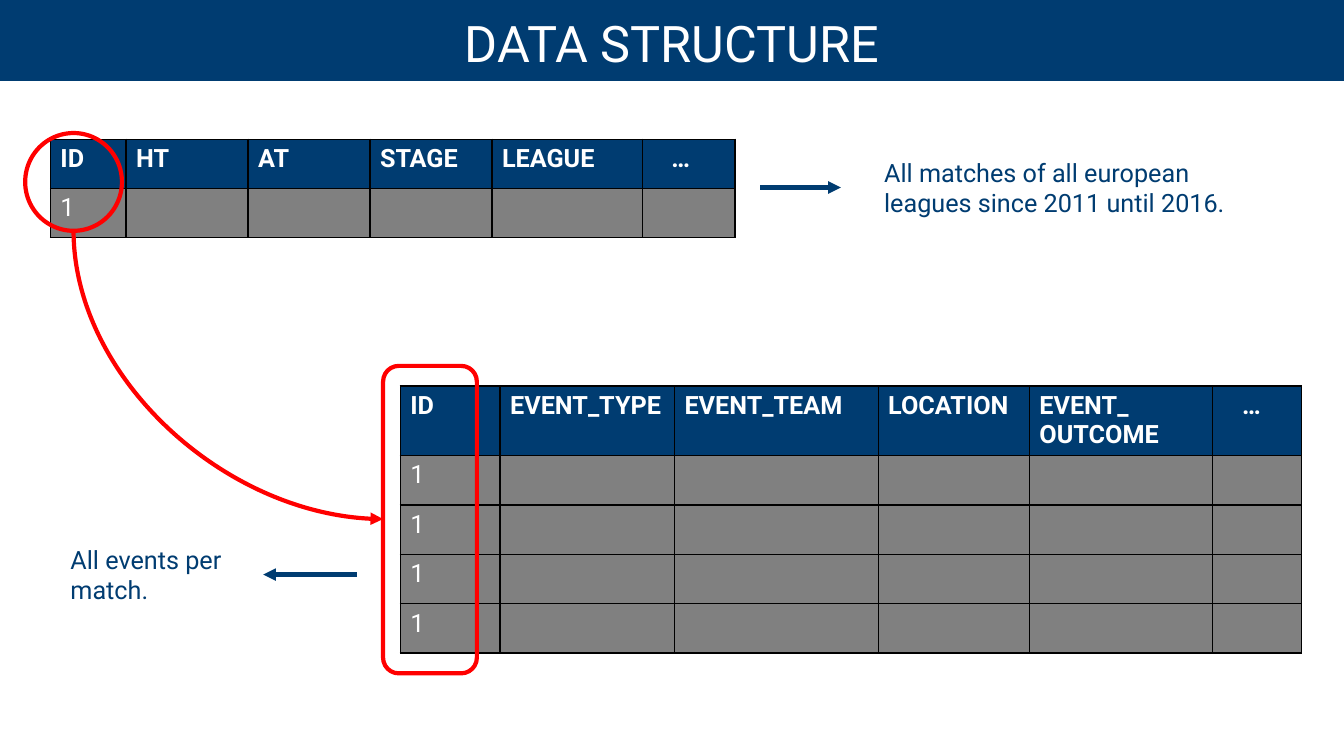
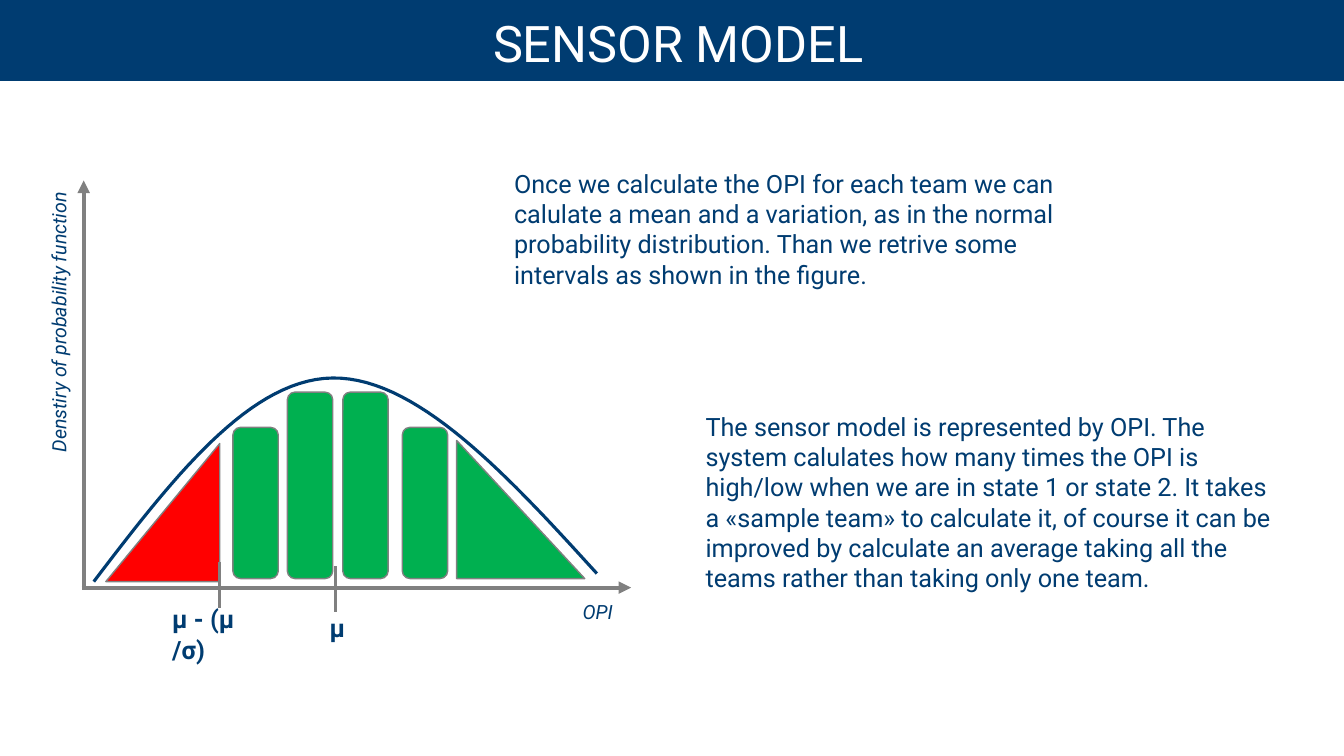
"""Build two slides: the match data structure and the sensor model."""
from pptx import Presentation
from pptx.dml.color import RGBColor
from pptx.enum.shapes import MSO_CONNECTOR, MSO_SHAPE
from pptx.enum.text import MSO_ANCHOR, MSO_AUTO_SIZE, PP_ALIGN
from pptx.oxml import parse_xml
from pptx.oxml.ns import nsdecls, qn
from pptx.util import Inches, Pt

RECTANGLE, ROUNDED = MSO_SHAPE.RECTANGLE, MSO_SHAPE.ROUNDED_RECTANGLE
OVAL, TRIANGLE = MSO_SHAPE.OVAL, MSO_SHAPE.ISOSCELES_TRIANGLE
STRAIGHT, CURVE = MSO_CONNECTOR.STRAIGHT, MSO_CONNECTOR.CURVE
MIDDLE, CENTER = MSO_ANCHOR.MIDDLE, PP_ALIGN.CENTER
NO_AUTOFIT = MSO_AUTO_SIZE.NONE

NAVY = RGBColor(0x00, 0x3C, 0x71)
GRAY = RGBColor(0x80, 0x80, 0x80)
RED = RGBColor(0xFF, 0x00, 0x00)
GREEN = RGBColor(0x00, 0xB0, 0x50)
WHITE = RGBColor(0xFF, 0xFF, 0xFF)
FONT = "Roboto"

ROW_HEIGHT = 0.49
MATCHES = {
    "at": (0.5, 1.38),
    "columns": [("ID", 0.75), ("HT", 1.21), ("AT", 1.21), ("STAGE", 1.21),
                ("LEAGUE", 1.49), ("…", 0.92)],
    "header_height": ROW_HEIGHT,
    "ids": ["1"],
}
EVENTS = {
    "at": (3.97, 3.83),
    "columns": [("ID", 0.99), ("EVENT_TYPE", 1.73), ("EVENT_TEAM", 2.02),
                ("LOCATION", 1.5), ("EVENT_\nOUTCOME", 1.82), ("…", 0.88)],
    "header_height": 0.69,
    "ids": ["1", "1", "1", "1"],
}
DATA_NOTES = [
    ("All matches of all european leagues since 2011 until 2016.", (8.67, 1.51, 3.72, 0.71)),
    ("All events per\nmatch.", (0.6, 5.35, 1.92, 0.71)),
]
DATA_ARROWS = [((7.54, 1.86), (8.34, 1.86)), ((3.54, 5.7), (2.61, 5.7))]

SENSOR_NOTES = [
    ("The sensor model is represented by OPI. The system calulates how many times the OPI is "
     "high/low when we are in state 1 or state 2. It takes a «sample team» to calculate it, of "
     "course it can be improved by calculate an average taking all the teams rather than taking "
     "only one team.", (6.9, 4.03, 5.83, 1.92)),
    ("Once we calculate the OPI for each team we can calulate a mean and a variation, as in the "
     "normal probability distribution. Than we retrive some intervals as shown in the figure.",
     (5, 1.62, 5.83, 1.31)),
]
BELL_CURVE = [
    ((0.93, 5.77), (1.7, 4.76), (2.47, 3.76), (3.3, 3.75)),
    ((3.3, 3.75), (4.13, 3.74), (5.03, 4.71), (5.92, 5.69)),
]
CURVE_STEPS = 30
AXES = [((0.83, 5.83), (0.83, 1.79)), ((0.81, 5.83), (6.26, 5.83))]
TAILS = [((1.05, 4.4, 1.13, 1.37), 1, RED), ((4.53, 4.37, 1.27, 1.37), 0, GREEN)]
BAR_WIDTH, BAR_BASE = 0.45, 5.74
BARS = [(2.31, 4.24), (2.85, 3.89), (3.4, 3.89), (3.99, 4.24)]
TICK_LENGTH = 0.45
TICKS = [
    ("µ", (3.33, 5.62), (3.17, 6.03, 0.33, 0.41)),
    ("µ - (µ /σ)", (2.18, 5.58), (1.61, 5.94, 1.15, 0.4)),
]
AXIS_LABELS = [
    ("OPI", (5.68, 5.9, 0.55, 0.34), 0),
    ("Denstiry of probability function", (-1.46, 2.37, 4.09, 0.34), 270),
]


def inches(values):
    return [Inches(value) for value in values]


def write(frame, text, size=18, color=NAVY, bold=False, italic=False):
    for index, line in enumerate(text.split("\n")):
        para = frame.paragraphs[0] if index == 0 else frame.add_paragraph()
        span = para.add_run()
        span.text = line
        font = span.font
        font.name, font.size, font.bold, font.italic = FONT, Pt(size), bold, italic
        font.color.rgb = color


def add_text(page, text, place, rotation=0, **style):
    box = page.shapes.add_textbox(*inches(place))
    box.rotation = rotation
    box.text_frame.word_wrap = True
    write(box.text_frame, text, **style)


def paint(shape, fill, line, width):
    shape.shadow.inherit = False
    if fill is None:
        shape.fill.background()
    else:
        shape.fill.solid()
        shape.fill.fore_color.rgb = fill
    shape.line.color.rgb = line
    shape.line.width = Pt(width)


def add_shape(page, kind, place, fill=None, line=GRAY, width=1):
    shape = page.shapes.add_shape(kind, *inches(place))
    paint(shape, fill, line, width)
    return shape


def add_line(page, start, end, color, width=3, arrow=True, kind=STRAIGHT):
    connector = page.shapes.add_connector(kind, *inches(start + end))
    connector.line.color.rgb = color
    connector.line.width = Pt(width)
    properties = connector._element.spPr
    if arrow:
        head = parse_xml(f'<a:tailEnd {nsdecls("a")} type="triangle"/>')
        properties.find(qn("a:ln")).append(head)
    properties.append(parse_xml(f'<a:effectLst {nsdecls("a")}/>'))
    return properties


def add_link(page, start, end):
    """Draw a curve that leaves downwards and arrives from the left."""
    middle_x, middle_y = (start[0] + end[0]) / 2, (start[1] + end[1]) / 2
    half_width, half_height = (end[1] - start[1]) / 2, (end[0] - start[0]) / 2
    properties = add_line(page, (middle_x + half_width, middle_y - half_height),
                          (middle_x - half_width, middle_y + half_height), RED, kind=CURVE)
    properties.find(qn("a:xfrm")).set("rot", "16200000")
    properties.find(qn("a:prstGeom")).set("prst", "curvedConnector2")


def format_cell(cell, fill):
    cell.fill.solid()
    cell.fill.fore_color.rgb = fill
    for index, side in enumerate(("lnL", "lnR", "lnT", "lnB")):
        border = parse_xml(f'<a:{side} {nsdecls("a")} w="12700"><a:solidFill>'
                           f'<a:srgbClr val="000000"/></a:solidFill></a:{side}>')
        cell._tc.get_or_add_tcPr().insert(index, border)


def add_data_table(page, data):
    columns, ids = data["columns"], data["ids"]
    heights = [data["header_height"]] + [ROW_HEIGHT] * len(ids)
    size = (sum(width for _, width in columns), sum(heights))
    table = page.shapes.add_table(len(heights), len(columns), *inches(data["at"] + size)).table
    table.horz_banding = False
    for row, height in zip(table.rows, heights):
        row.height = Inches(height)
    for index, (name, width) in enumerate(columns):
        table.columns[index].width = Inches(width)
        header = table.cell(0, index)
        write(header.text_frame, name, color=WHITE, bold=True)
        if name == "…":
            header.margin_left = Inches(0.29)
        for row in range(len(heights)):
            format_cell(table.cell(row, index), GRAY if row else NAVY)
    for row, match_id in enumerate(ids, 1):
        write(table.cell(row, 0).text_frame, match_id, color=WHITE)


def add_page(deck, heading):
    page = deck.slides.add_slide(deck.slide_layouts[5])
    band = add_shape(page, RECTANGLE, (-0.04, -0.01, 13.37, 0.81), NAVY, NAVY)
    page.shapes._spTree.insert(2, band._element)
    title = page.shapes.title
    title.left, title.top, title.width, title.height = inches((0.25, 0.11, 12.83, 0.69))
    frame = title.text_frame
    frame.auto_size, frame.vertical_anchor = NO_AUTOFIT, MIDDLE
    write(frame, heading, size=36, color=WHITE)
    frame.paragraphs[0].alignment = CENTER
    frame.paragraphs[0].line_spacing = 0.9
    return page


def bezier(points, t):
    weights = ((1 - t) ** 3, 3 * t * (1 - t) ** 2, 3 * t ** 2 * (1 - t), t ** 3)
    return tuple(Inches(sum(w * point[axis] for w, point in zip(weights, points)))
                 for axis in (0, 1))


def add_bell_curve(page):
    points = [bezier(part, step / CURVE_STEPS)
              for part in BELL_CURVE for step in range(CURVE_STEPS + 1)]
    builder = page.shapes.build_freeform(*points[0])
    builder.add_line_segments(points[1:], close=False)
    paint(builder.convert_to_shape(), None, NAVY, 2.25)


def build_data_structure(deck):
    page = add_page(deck, "DATA STRUCTURE")
    add_data_table(page, MATCHES)
    add_shape(page, OVAL, (0.25, 1.32, 0.96, 0.97), line=RED, width=3)
    add_data_table(page, EVENTS)
    add_link(page, (0.73, 2.29), (3.8, 5.15))
    add_shape(page, ROUNDED, (3.8, 3.63, 0.93, 3.05), line=RED, width=3)
    for text, place in DATA_NOTES:
        add_text(page, text, place)
    for start, end in DATA_ARROWS:
        add_line(page, start, end, NAVY)


def build_sensor_model(deck):
    page = add_page(deck, " SENSOR MODEL")
    add_bell_curve(page)
    for start, end in AXES:
        add_line(page, start, end, GRAY)
    for place, apex, color in TAILS:
        add_shape(page, TRIANGLE, place, color).adjustments[0] = apex
    for left, top in BARS:
        add_shape(page, ROUNDED, (left, top, BAR_WIDTH, BAR_BASE - top), GREEN)
    for text, place in SENSOR_NOTES:
        add_text(page, text, place)
    for text, place, rotation in AXIS_LABELS:
        add_text(page, text, place, rotation, size=14, italic=True)
    for text, (x, y), place in TICKS:
        add_line(page, (x, y), (x, y + TICK_LENGTH), GRAY, 2.25, arrow=False)
        add_text(page, text, place, bold=True)


def main():
    deck = Presentation()
    deck.slide_width, deck.slide_height = Inches(13.33), Inches(7.5)
    build_data_structure(deck)
    build_sensor_model(deck)
    deck.save("out.pptx")


if __name__ == "__main__":
    main()
